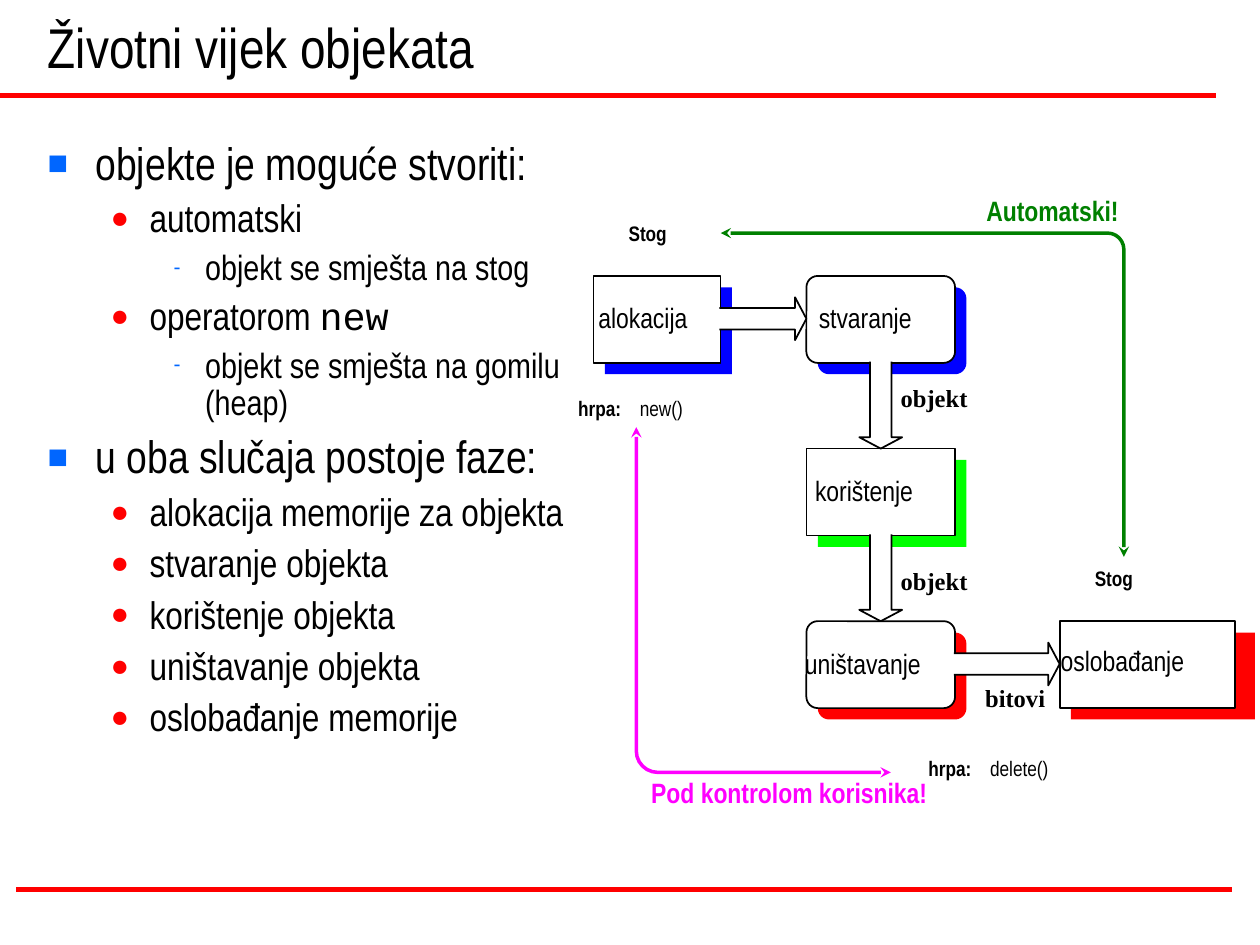
from math import cos, dist, pi, sin

from lxml.etree import SubElement
from pptx import Presentation
from pptx.dml.color import RGBColor
from pptx.enum.shapes import MSO_CONNECTOR, MSO_SHAPE
from pptx.enum.text import MSO_ANCHOR, MSO_AUTO_SIZE, PP_ALIGN
from pptx.oxml.ns import qn
from pptx.util import Inches, Pt

BLACK = RGBColor(0x00, 0x00, 0x00)
WHITE = RGBColor(0xFF, 0xFF, 0xFF)
RED = RGBColor(0xFF, 0x00, 0x00)
BLUE = RGBColor(0x00, 0x00, 0xFF)
LIME = RGBColor(0x00, 0xFF, 0x00)
GREEN = RGBColor(0x00, 0x80, 0x00)
MAGENTA = RGBColor(0xFF, 0x00, 0xFF)
BULLET_BLUE = RGBColor(0x00, 0x66, 0xFF)

NARROW = "Arial Narrow"
MONO = "Courier New"
SERIF = "Times New Roman"

BOX_HEIGHT = 0.69
SHADOW_OFFSET = 0.09

# size, space before, left margin, indent, bullet, bullet colour, bullet percent
LEVELS = [
    (26, 6.5, 0.38, -0.38, "■", BULLET_BLUE, 75),
    (22, 5.5, 0.81, -0.31, "●", RED, 80),
    (20, 5, 1.25, -0.25, "-", BULLET_BLUE, 60),
]

OUTLINE = [
    (0, [("objekte je moguće stvoriti:", NARROW)]),
    (1, [("automatski", NARROW)]),
    (2, [("objekt se smješta na stog", NARROW)]),
    (1, [("operatorom ", NARROW), ("new", MONO)]),
    (2, [("objekt se smješta na gomilu (heap)", NARROW)]),
    (0, [("u oba slučaja postoje faze:", NARROW)]),
    (1, [("alokacija memorije za objekta", NARROW)]),
    (1, [("stvaranje objekta", NARROW)]),
    (1, [("korištenje objekta", NARROW)]),
    (1, [("uništavanje objekta", NARROW)]),
    (1, [("oslobađanje memorije", NARROW)]),
]


def add_span(paragraph, text, size, font=NARROW, color=BLACK, bold=False):
    span = paragraph.add_run()
    span.text = text
    span.font.name = font
    span.font.size = Pt(size)
    span.font.bold = bold
    span.font.color.rgb = color


def add_label(page, text, left, top, width, height, **style):
    box = page.shapes.add_textbox(Inches(left), Inches(top), Inches(width), Inches(height))
    box.text_frame.word_wrap = False
    box.text_frame.auto_size = MSO_AUTO_SIZE.SHAPE_TO_FIT_TEXT
    add_span(box.text_frame.paragraphs[0], text, **style)


def set_title(page, text):
    title = page.shapes.title
    title.left, title.top = Inches(0.28), Inches(0)
    title.width, title.height = Inches(8.83), Inches(0.68)
    title.text_frame.vertical_anchor = MSO_ANCHOR.BOTTOM
    title.text_frame.auto_size = MSO_AUTO_SIZE.NONE
    paragraph = title.text_frame.paragraphs[0]
    paragraph.alignment = PP_ALIGN.LEFT
    add_span(paragraph, text, 32)


def add_bullet(paragraph, left, indent, mark, color, percent):
    properties = paragraph._p.get_or_add_pPr()
    properties.set("marL", str(Inches(left)))
    properties.set("indent", str(Inches(indent)))
    bullet_color = SubElement(properties, qn("a:buClr"))
    SubElement(bullet_color, qn("a:srgbClr"), val=str(color))
    SubElement(properties, qn("a:buSzPct"), val=str(percent * 1000))
    SubElement(properties, qn("a:buFont"), typeface="Arial")
    SubElement(properties, qn("a:buChar"), char=mark)


def add_outline(page, items):
    box = page.shapes.add_textbox(Inches(0.28), Inches(1.07), Inches(4.64), Inches(5.83))
    frame = box.text_frame
    frame.word_wrap = True
    for index, (level, spans) in enumerate(items):
        paragraph = frame.add_paragraph() if index else frame.paragraphs[0]
        size, space, *bullet = LEVELS[level]
        add_bullet(paragraph, *bullet)
        paragraph.level = level
        paragraph.line_spacing = 0.9
        paragraph.space_before = Pt(space if index else 0)
        for text, font in spans:
            add_span(paragraph, text, size, font)


def add_rule(page, left, right, y):
    rule = page.shapes.add_connector(
        MSO_CONNECTOR.STRAIGHT, Inches(left), Inches(y), Inches(right), Inches(y))
    rule.line.color.rgb = RED
    rule.line.width = Pt(3)
    SubElement(rule._element.spPr, qn("a:effectLst"))


def add_panel(page, kind, left, top, width, fill, outlined):
    panel = page.shapes.add_shape(
        kind, Inches(left), Inches(top), Inches(width), Inches(BOX_HEIGHT))
    panel.shadow.inherit = False
    if kind == MSO_SHAPE.ROUNDED_RECTANGLE:
        panel.adjustments[0] = 0.13
    panel.fill.solid()
    panel.fill.fore_color.rgb = fill
    if outlined:
        panel.line.color.rgb = BLACK
        panel.line.width = Pt(1)
    else:
        panel.line.fill.background()


def add_phase(page, text, left, top, width, color, label_at, rounded=False, shadow_width=None):
    """Draw a white box on a coloured offset panel, with its label."""
    kind = MSO_SHAPE.ROUNDED_RECTANGLE if rounded else MSO_SHAPE.RECTANGLE
    add_panel(page, kind, left + SHADOW_OFFSET, top + SHADOW_OFFSET,
              shadow_width or width, color, False)
    add_panel(page, kind, left, top, width, WHITE, True)
    add_label(page, text, *label_at, 0.37, size=16)


def add_open_path(page, points, color, width):
    corners = [(Inches(x), Inches(y)) for x, y in points]
    builder = page.shapes.build_freeform(*corners[0])
    builder.add_line_segments(corners[1:], close=False)
    path = builder.convert_to_shape()
    path.shadow.inherit = False
    path.line.color.rgb = color
    path.line.width = Pt(width)
    return path


def direction(start, end):
    length = dist(start, end)
    return (end[0] - start[0]) / length, (end[1] - start[1]) / length


def add_block_arrow(page, start, tip):
    """Draw a white arrow whose open tail hides the border it leaves."""
    dx, dy = direction(start, tip)
    length = dist(start, tip)
    neck = length - 0.09
    profile = [(-0.01, 0.085), (neck, 0.085), (neck, 0.17), (length, 0),
               (neck, -0.17), (neck, -0.085), (-0.01, -0.085)]
    points = [(start[0] + along * dx - across * dy, start[1] + along * dy + across * dx)
              for along, across in profile]
    arrow = add_open_path(page, points, BLACK, 1)
    arrow.fill.solid()
    arrow.fill.fore_color.rgb = WHITE


def add_rounded_elbow(page, start, corner, end, radius, color):
    """Draw a two-headed line that turns the corner on a quarter circle."""
    into, out = direction(start, corner), direction(corner, end)
    angles = [step * pi / 12 for step in range(7)]
    arc = [tuple(corner[axis] + radius * ((sin(angle) - 1) * into[axis]
                                          + (1 - cos(angle)) * out[axis]) for axis in (0, 1))
           for angle in angles]
    elbow = add_open_path(page, [start, *arc, end], color, 2)
    elbow.fill.background()
    line = elbow.line._get_or_add_ln()
    for name in ("a:headEnd", "a:tailEnd"):
        SubElement(line, qn(name), type="stealth")


def add_diagram(page):
    add_phase(page, "alokacija", 4.71, 2.19, 1.01, BLUE, (4.65, 2.34, 0.91))
    add_phase(page, "oslobađanje", 8.41, 4.93, 1.39, RED, (8.32, 5.06, 1.18), shadow_width=1.46)
    add_phase(page, "korištenje", 6.4, 3.56, 1.18, LIME, (6.37, 3.71, 0.98))
    add_phase(page, "stvaranje", 6.4, 2.19, 1.18, BLUE, (6.4, 2.34, 0.94), rounded=True)
    add_phase(page, "uništavanje", 6.4, 4.93, 1.18, RED, (6.29, 5.08, 1.12), rounded=True)

    add_block_arrow(page, (5.72, 2.53), (6.4, 2.53))
    add_block_arrow(page, (6.99, 2.88), (6.99, 3.56))
    add_block_arrow(page, (6.99, 4.25), (6.99, 4.93))
    add_block_arrow(page, (7.58, 5.27), (8.41, 5.27))

    for left, top in ((4.89, 1.7), (8.59, 4.44)):
        add_label(page, "Stog", left, top, 0.51, 0.3, size=12, bold=True)
    for left, top, call, width in ((4.49, 3.09, "new()", 0.54), (7.27, 5.95, "delete()", 0.66)):
        add_label(page, "hrpa:", left, top, 0.54, 0.3, size=12, bold=True)
        add_label(page, call, left + 0.49, top, width, 0.3, size=12)

    add_rounded_elbow(page, (5.72, 1.85), (8.92, 1.85), (8.92, 4.42), 0.13, GREEN)
    add_rounded_elbow(page, (5.05, 3.39), (5.05, 6.13), (7.07, 6.13), 0.17, MAGENTA)
    add_label(page, "Automatski!", 7.73, 1.49, 1.25, 0.37, size=16, color=GREEN, bold=True)
    add_label(page, "Pod kontrolom korisnika!", 5.07, 6.11, 2.39, 0.37,
              size=16, color=MAGENTA, bold=True)
    for text, left, top, width in (("bitovi", 7.72, 5.37, 0.68),
                                   ("objekt", 7.05, 2.99, 0.73), ("objekt", 7.05, 4.44, 0.73)):
        add_label(page, text, left, top, width, 0.33, size=14, font=SERIF, bold=True)


def main():
    deck = Presentation()
    deck.slide_width, deck.slide_height = Inches(10), Inches(7.5)
    page = deck.slides.add_slide(deck.slide_layouts[5])
    add_rule(page, 0, 9.65, 0.76)
    add_rule(page, 0.13, 9.78, 7.06)
    set_title(page, "Životni vijek objekata")
    add_outline(page, OUTLINE)
    add_diagram(page)
    deck.save("out.pptx")


if __name__ == "__main__":
    main()
